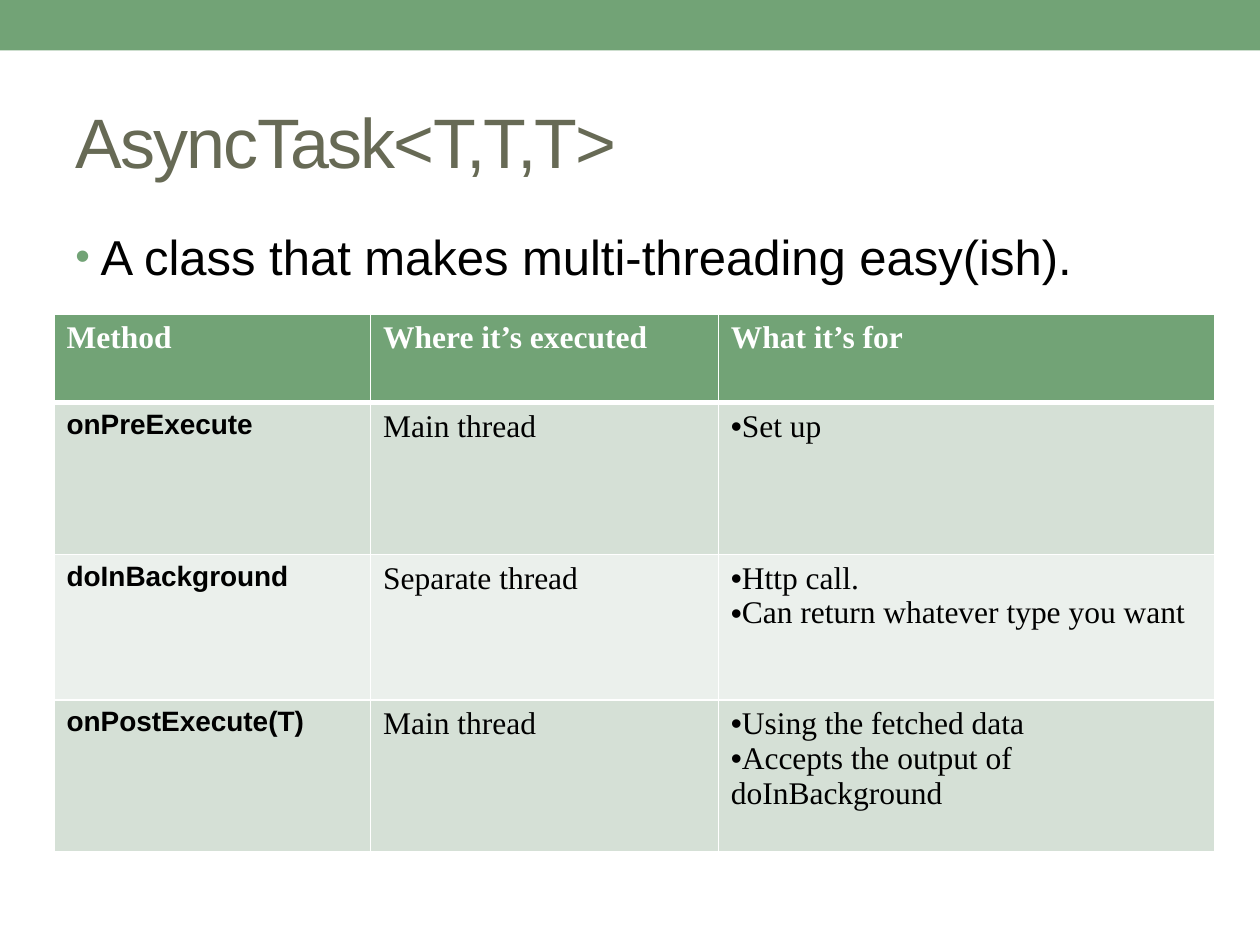
import pptx
import pptx.dml.color
import pptx.enum.shapes
import pptx.enum.text
import pptx.util
from lxml import etree
from pptx.oxml.ns import qn
from pptx.util import Cm, Pt

GREEN, PALE, PALER = "72A376", "D5E0D6", "EBF0EC"
WHITE, BLACK, OLIVE = "FFFFFF", "000000", "676A55"


def color(value):
    return pptx.dml.color.RGBColor.from_string(value)


def style(paragraph, font_name, size, font_color, bold=False):
    for run in paragraph.runs:
        run.font.name = font_name
        run.font.size = Pt(size)
        run.font.color.rgb = color(font_color)
        run.font.bold = bold


deck = pptx.Presentation()
deck.slide_width, deck.slide_height = Cm(25.4), Cm(19.05)
slide = deck.slides.add_slide(deck.slide_layouts[6])

band = slide.shapes.add_shape(
    pptx.enum.shapes.MSO_SHAPE.RECTANGLE, 0, 0, deck.slide_width, Cm(1.02))
band.shadow.inherit = False
band.fill.solid()
band.fill.fore_color.rgb = color(GREEN)
band.line.fill.background()

title = slide.shapes.add_textbox(Cm(1.27), Cm(1.47), Cm(22.86), Cm(2.74)).text_frame
title.word_wrap = True
title.vertical_anchor = pptx.enum.text.MSO_ANCHOR.MIDDLE
title.text = "AsyncTask<T,T,T>"
style(title.paragraphs[0], "Arial", 40, OLIVE)
title.paragraphs[0].runs[0].font._element.set("spc", "-100")

summary = slide.shapes.add_textbox(Cm(1.27), Cm(4.45), Cm(22.86), Cm(13.54)).text_frame
summary.word_wrap = True
summary.text = "A class that makes multi-threading easy(ish)."
summary_props = summary.paragraphs[0]._p.get_or_add_pPr()
summary_props.set("marL", str(Cm(0.51)))
summary_props.set("indent", str(-Cm(0.51)))
bullet_color = etree.SubElement(summary_props, qn("a:buClr"))
etree.SubElement(bullet_color, qn("a:srgbClr"), val=GREEN)
etree.SubElement(summary_props, qn("a:buSzPct"), val="85000")
etree.SubElement(summary_props, qn("a:buFont"), typeface="Arial")
etree.SubElement(summary_props, qn("a:buChar"), char="•")
style(summary.paragraphs[0], "Arial", 28, BLACK)

methods = [
    ("Method", "Where it’s executed", "What it’s for"),
    ("onPreExecute", "Main thread", "Set up"),
    ("doInBackground", "Separate thread",
     "Http call.\nCan return whatever type you want"),
    ("onPostExecute(T)", "Main thread",
     "Using the fetched data\nAccepts the output of doInBackground"),
]
column_widths = [6.38, 7.01, 10.01]
row_heights = [1.79, 3.06, 2.93, 3.06]
table = slide.shapes.add_table(
    len(methods), len(column_widths), Cm(1.09), Cm(6.33),
    Cm(sum(column_widths)), Cm(sum(row_heights))).table
for column, width in zip(table.columns, column_widths):
    column.width = Cm(width)
for row, height in zip(table.rows, row_heights):
    row.height = Cm(height)

for r, texts in enumerate(methods):
    for c, text in enumerate(texts):
        cell = table.cell(r, c)
        cell.text_frame.text = text
        for paragraph in cell.text_frame.paragraphs:
            if r == 0:
                style(paragraph, "Times New Roman", 18, WHITE, bold=True)
            elif c == 0:
                style(paragraph, "Arial", 16, BLACK, bold=True)
            else:
                if c == 2:
                    bullet_props = paragraph._p.get_or_add_pPr()
                    etree.SubElement(bullet_props, qn("a:buFont"), typeface="Arial")
                    etree.SubElement(bullet_props, qn("a:buChar"), char="•")
                style(paragraph, "Times New Roman", 18, BLACK)

        cell_props = cell._tc.get_or_add_tcPr()
        for side in ("L", "R", "T", "B"):
            thick = (r == 0 and side == "B") or (r == 1 and side == "T")
            border = etree.SubElement(
                cell_props, qn(f"a:ln{side}"), w=str(Pt(3 if thick else 1)))
            border_fill = etree.SubElement(border, qn("a:solidFill"))
            etree.SubElement(border_fill, qn("a:srgbClr"), val=WHITE)
        cell.fill.solid()
        cell.fill.fore_color.rgb = color(GREEN if r == 0 else PALE if r % 2 else PALER)

deck.save("out.pptx")
